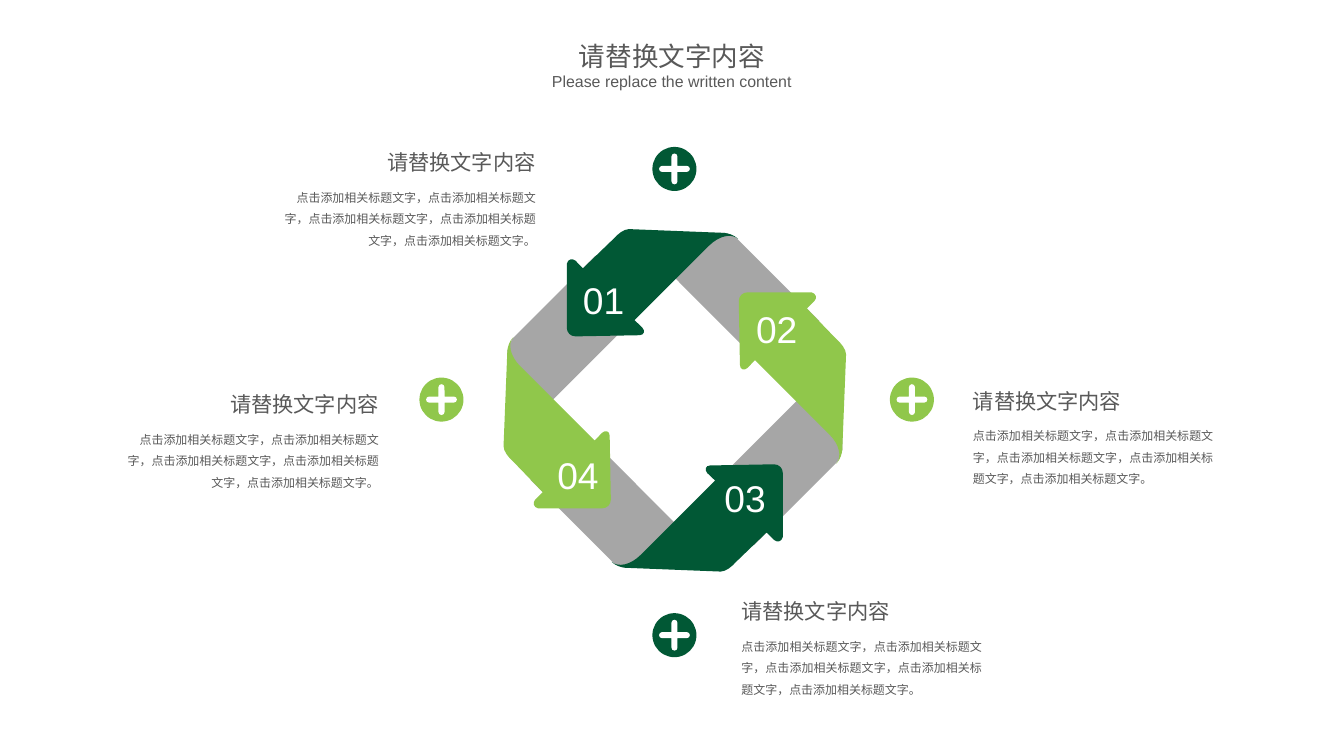
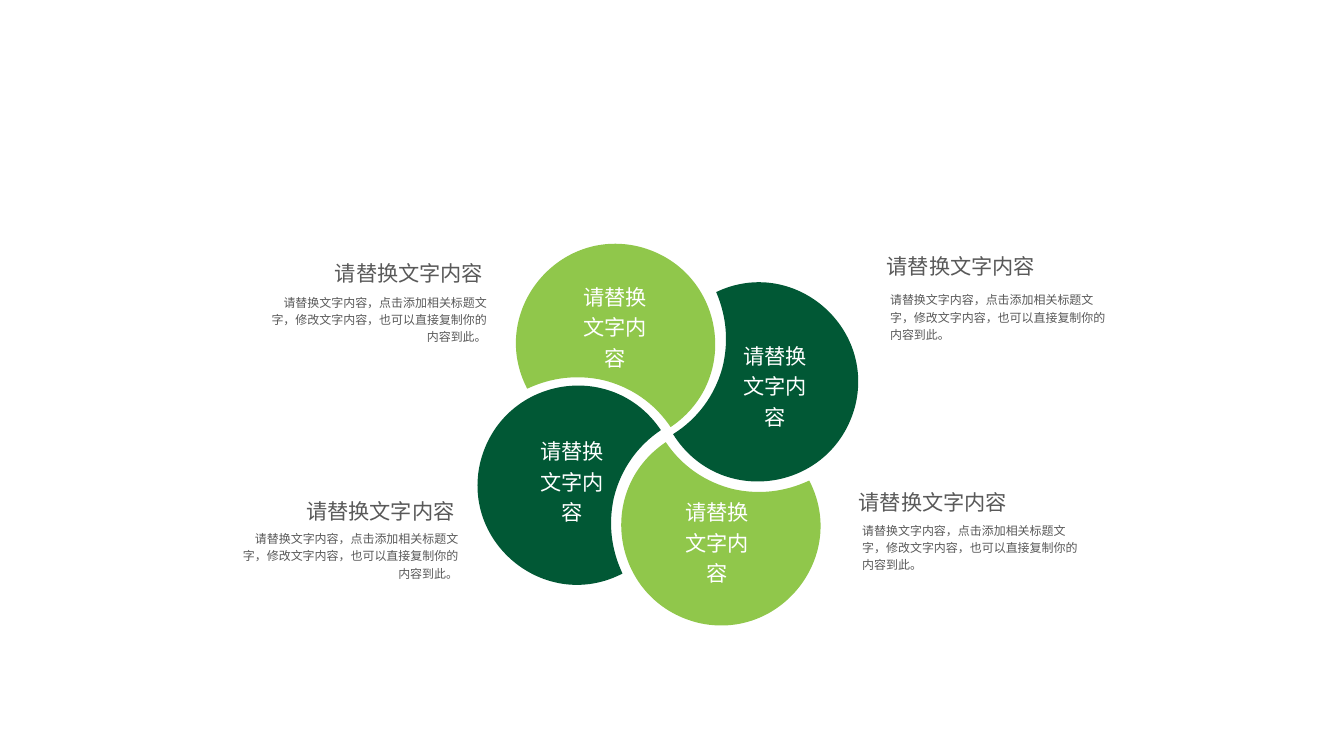
from dataclasses import dataclass
from math import cos, radians, sin

from lxml import etree
from pptx import Presentation
from pptx.dml.color import RGBColor
from pptx.enum.lang import MSO_LANGUAGE_ID
from pptx.enum.shapes import MSO_SHAPE
from pptx.enum.text import MSO_ANCHOR, MSO_AUTO_SIZE, PP_ALIGN
from pptx.oxml.ns import qn
from pptx.util import Cm, Pt


@dataclass(frozen=True)
class Theme:
    dark: RGBColor = RGBColor(0x01, 0x58, 0x35)
    light: RGBColor = RGBColor(0x90, 0xC7, 0x4B)
    grey: RGBColor = RGBColor(0xA6, 0xA6, 0xA6)
    ink: RGBColor = RGBColor(0x59, 0x59, 0x59)
    white: RGBColor = RGBColor(0xFF, 0xFF, 0xFF)
    font: str = "Arial"
    title_font: str = "Calibri"
    number: int = 28
    title: int = 20
    heading: int = 16
    subtitle: int = 12
    body: int = 9


T = Theme()

# All lengths below are centimetres.
Point = tuple[float, float]
Segment = list[Point]  # 1 point: straight line; 3 points: cubic curve


@dataclass(frozen=True)
class Box:
    left: float
    top: float
    width: float
    height: float


@dataclass(frozen=True)
class CaptionStyle:
    heading_width: float
    heading_height: float
    body_height: float
    heading_spacing: float
    body_spacing: float
    left_body_align: PP_ALIGN
    right_anchor: MSO_ANCHOR
    inset: float | None = None
    nudge: float = 0


@dataclass(frozen=True)
class Caption:
    left: float
    top: float
    width: float
    gap: float
    to_right: bool


@dataclass(frozen=True)
class Arrow:
    number: str
    angle: float
    color: RGBColor
    label: Point


@dataclass(frozen=True)
class Petal:
    center: Point
    angle: float
    color: RGBColor
    label: Point


HEADING = "请替换文字内容"
CYCLE_BODY = "，".join(["点击添加相关标题文字"] * 5) + "。"
PETAL_BODY = "请替换文字内容，点击添加相关标题文字，修改文字内容，也可以直接复制你的内容到此。"

RING_CENTER = (17.93, 10.64)
RING_TILT = 45
BAND_OUTLINE: list[Segment] = [
    [(1.32, -4.45)], [(-1.19, -4.45)], [(2.49, -0.76)], [(3.84, -2.11)], [(1.63, -4.32)],
    [(1.47, -4.42), (1.4, -4.42), (1.32, -4.45)],
]
ARROW_OUTLINE: list[Segment] = [
    [(4.55, -1.22)],
    [(4.55, -1.35), (4.42, -1.52), (4.29, -1.63)],
    [(3.51, -2.44)], [(3.71, -2.64)],
    [(3.78, -2.72), (3.76, -2.84), (3.63, -2.87)],
    [(1.93, -2.87)],
    [(1.8, -2.87), (1.7, -2.77), (1.7, -2.64)],
    [(1.73, -0.94)],
    [(1.73, -0.81), (1.85, -0.79), (1.93, -0.86)],
    [(2.13, -1.07)], [(4.11, 0.91)],
    [(4.37, 1.17), (4.45, 1.5), (4.29, 1.68)],
    [(4.29, 1.68), (4.42, 1.57), (4.45, 1.32)],
]
PETAL_OUTLINE: list[Segment] = [
    [(1.47, 2.44)],
    [(1.04, 1.8), (0.41, 1.37), (-0.33, 1.19)],
    [(-1.02, 1.04), (-1.7, 1.12), (-2.34, 1.42)],
    [(-3.38, -0.58), (-1.57, -2.87), (0.61, -2.36)],
    [(2.87, -1.8), (3.4, 1.14), (1.47, 2.44)],
]
ARROWS = [
    Arrow("02", 0, T.light, (19.84, 8.01)),
    Arrow("03", 90, T.dark, (19, 12.52)),
    Arrow("04", 180, T.light, (14.56, 11.89)),
    Arrow("01", 270, T.dark, (15.24, 7.24)),
]
BADGES = [
    ((24.23, 10.62), T.light),
    ((11.73, 10.62), T.light),
    ((17.92, 4.49), T.dark),
    ((17.92, 16.88), T.dark),
]
CYCLE_STYLE = CaptionStyle(4.5, 0.94, 1.98, 1, 1.5, PP_ALIGN.JUSTIFY, MSO_ANCHOR.TOP)
CYCLE_CAPTIONS = [
    Caption(7.3, 3.84, 7.18, 0.9, True),
    Caption(3.13, 10.27, 7.18, 0.9, True),
    Caption(25.6, 10.19, 6.88, 0.89, False),
    Caption(19.45, 15.77, 6.88, 0.9, False),
]
PETALS = [
    Petal((16.35, 8.91), 0, T.light, (15.25, 7.4)),
    Petal((20.37, 10.15), 91.9, T.dark, (19.51, 8.97)),
    Petal((19.16, 14.19), 180, T.light, (17.96, 13.13)),
    Petal((15.12, 12.9), 270, T.dark, (14.12, 11.51)),
]
PETAL_STYLE = CaptionStyle(3.99, 0.76, 1.4, 1.2, 1.2, PP_ALIGN.LEFT,
                           MSO_ANCHOR.MIDDLE, inset=0, nudge=0.09)
PETAL_CAPTIONS = [
    Caption(7.01, 6.81, 5.92, 0.95, True),
    Caption(6.25, 13.13, 5.92, 0.91, True),
    Caption(23.65, 6.6, 5.74, 1.11, False),
    Caption(22.91, 12.88, 5.74, 0.95, False),
]


def set_all(target, values: dict) -> None:
    for name, value in values.items():
        setattr(target, name, value)


def paint(sp, color: RGBColor) -> None:
    sp.shadow.inherit = False
    sp.fill.solid()
    sp.fill.fore_color.rgb = color
    sp.line.fill.background()


def add_text(s, box: Box, text: str, size: int, color: RGBColor = T.ink,
             align: PP_ALIGN = PP_ALIGN.LEFT, spacing: float = 1, wrap: bool = False,
             anchor: MSO_ANCHOR = MSO_ANCHOR.TOP, inset: float | None = None,
             font: str = T.font) -> None:
    sp = s.shapes.add_textbox(Cm(box.left), Cm(box.top), Cm(box.width), Cm(box.height))
    tf = sp.text_frame
    set_all(tf, {"word_wrap": wrap, "auto_size": MSO_AUTO_SIZE.SHAPE_TO_FIT_TEXT,
                 "vertical_anchor": anchor})
    if inset is not None:
        set_all(tf, {f"margin_{side}": Cm(inset)
                     for side in ("left", "top", "right", "bottom")})
    p = tf.paragraphs[0]
    set_all(p, {"alignment": align, "line_spacing": spacing})
    p._p.get_or_add_pPr().set("hangingPunct", "0")
    r = p.add_run()
    r.text = text
    set_all(r.font, {"name": font, "size": Pt(size),
                     "language_id": MSO_LANGUAGE_ID.SIMPLIFIED_CHINESE})
    r.font.color.rgb = color


def rotate(point: Point, angle: float) -> Point:
    x, y = point
    c, d = cos(radians(angle)), sin(radians(angle))
    return x * c - y * d, x * d + y * c


def rotate_all(outline: list[Segment], angle: float) -> list[Segment]:
    return [[rotate(point, angle) for point in segment] for segment in outline]


def bounds(outline: list[Segment], steps: int = 40) -> Box:
    """Box around the drawn line, leaving out control points."""
    points = [outline[0][0]]
    for segment in outline[1:]:
        if len(segment) == 3:
            curve = [points[-1], *segment]
            for t in (i / steps for i in range(1, steps)):
                weights = ((1 - t) ** 3, 3 * t * (1 - t) ** 2, 3 * t * t * (1 - t), t ** 3)
                points.append((sum(w * q[0] for w, q in zip(weights, curve)),
                               sum(w * q[1] for w, q in zip(weights, curve))))
        points.append(segment[-1])
    xs, ys = zip(*points)
    return Box(min(xs), min(ys), max(xs) - min(xs), max(ys) - min(ys))


def add_outline(s, center: Point, outline: list[Segment], color: RGBColor,
                turn: float = 0, rotation: float = 0) -> None:
    """Draw an outline turned around center; rotation is the part kept on the shape."""
    outline = rotate_all(outline, turn - rotation)
    box = bounds(outline)
    dx, dy = rotate((box.left + box.width / 2, box.top + box.height / 2), rotation)
    placed = [(Cm(x - box.left), Cm(y - box.top)) for segment in outline for x, y in segment]
    builder = s.shapes.build_freeform(*placed[0])
    builder.add_line_segments(placed[1:], close=True)
    sp = builder.convert_to_shape()
    set_all(sp, {"left": Cm(center[0] + dx - box.width / 2),
                 "top": Cm(center[1] + dy - box.height / 2),
                 "width": Cm(box.width), "height": Cm(box.height),
                 "rotation": rotation})
    curve_lines(sp, outline, placed)
    paint(sp, color)


def curve_lines(sp, outline: list[Segment], placed: list[tuple[int, int]]) -> None:
    """Turn each run of three lines that stands for a cubic into a real curve."""
    outline_xml = next(sp.element.iter(qn("a:path")))
    outline_xml.set("w", str(sp.width))
    outline_xml.set("h", str(sp.height))
    for pt, (x, y) in zip(outline_xml.iter(qn("a:pt")), placed):
        pt.set("x", str(x))
        pt.set("y", str(y))
    lines = iter(outline_xml.findall(qn("a:lnTo")))
    for segment in outline[1:]:
        parts = [next(lines) for _ in segment]
        if len(parts) == 3:
            curve = etree.Element(qn("a:cubicBezTo"))
            parts[0].addprevious(curve)
            for part in parts:
                curve.append(part[0])
                outline_xml.remove(part)


def plus_outline(reach: float = 0.41, half: float = 0.08) -> list[Segment]:
    """Plus sign with round arm ends."""
    neck, pull = reach - half, 0.55 * half
    arm: list[Segment] = [
        [(neck, -half)],
        [(neck + pull, -half), (reach, -pull), (reach, 0)],
        [(reach, pull), (neck + pull, half), (neck, half)],
        [(half, half)],
    ]
    return [segment for angle in range(0, 360, 90) for segment in rotate_all(arm, angle)]


def add_badge(s, center: Point, color: RGBColor, size: float = 1.17) -> None:
    x, y = center
    sp = s.shapes.add_shape(MSO_SHAPE.OVAL, Cm(x - size / 2), Cm(y - size / 2),
                            Cm(size), Cm(size))
    paint(sp, color)
    add_outline(s, center, plus_outline(), T.white, 90, 90)


def add_caption(s, caption: Caption, style: CaptionStyle, body: str) -> None:
    heading_left, align, body_align = caption.left, PP_ALIGN.LEFT, style.left_body_align
    anchor = MSO_ANCHOR.TOP
    if caption.to_right:
        heading_left += caption.width - style.heading_width
        align = body_align = PP_ALIGN.RIGHT
        anchor = style.right_anchor
    add_text(s, Box(caption.left, caption.top + caption.gap, caption.width,
                    style.body_height),
             body, T.body, align=body_align, spacing=style.body_spacing, wrap=True,
             anchor=anchor, inset=style.inset)
    add_text(s, Box(heading_left - style.nudge, caption.top, style.heading_width,
                    style.heading_height),
             HEADING, T.heading, align=align, spacing=style.heading_spacing,
             anchor=anchor, inset=style.inset)


def build_cycle(s) -> None:
    for center, color in BADGES:
        add_badge(s, center, color)
    for a in ARROWS:
        add_outline(s, RING_CENTER, BAND_OUTLINE, T.grey, a.angle, RING_TILT)
    for a in ARROWS:
        add_outline(s, RING_CENTER, ARROW_OUTLINE, a.color, a.angle, RING_TILT)
        add_text(s, Box(*a.label, 1.63, 1.45), a.number, T.number, T.white)
    for caption in CYCLE_CAPTIONS:
        add_caption(s, caption, CYCLE_STYLE, CYCLE_BODY)
    add_text(s, Box(15.1, 0.51, 5.51, 1.4), HEADING, T.title,
             align=PP_ALIGN.CENTER, spacing=1.5, font=T.title_font)
    add_text(s, Box(14.39, 1.52, 6.93, 0.94), "Please replace the written content",
             T.subtitle, align=PP_ALIGN.CENTER, spacing=1.5)


def build_petals(s) -> None:
    for caption in PETAL_CAPTIONS:
        add_caption(s, caption, PETAL_STYLE, PETAL_BODY)
    for petal in PETALS:
        add_outline(s, petal.center, PETAL_OUTLINE, petal.color, petal.angle, petal.angle)
    for petal in PETALS:
        add_text(s, Box(*petal.label, 2.18, 2.46), HEADING, T.heading, T.white,
                 PP_ALIGN.CENTER, 1.2, wrap=True, anchor=MSO_ANCHOR.MIDDLE, inset=0)


def main() -> None:
    prs = Presentation()
    set_all(prs, {"slide_width": Cm(35.71), "slide_height": Cm(20.09)})
    for build in (build_cycle, build_petals):
        build(prs.slides.add_slide(prs.slide_layouts[6]))
    prs.save("out.pptx")


if __name__ == "__main__":
    main()
